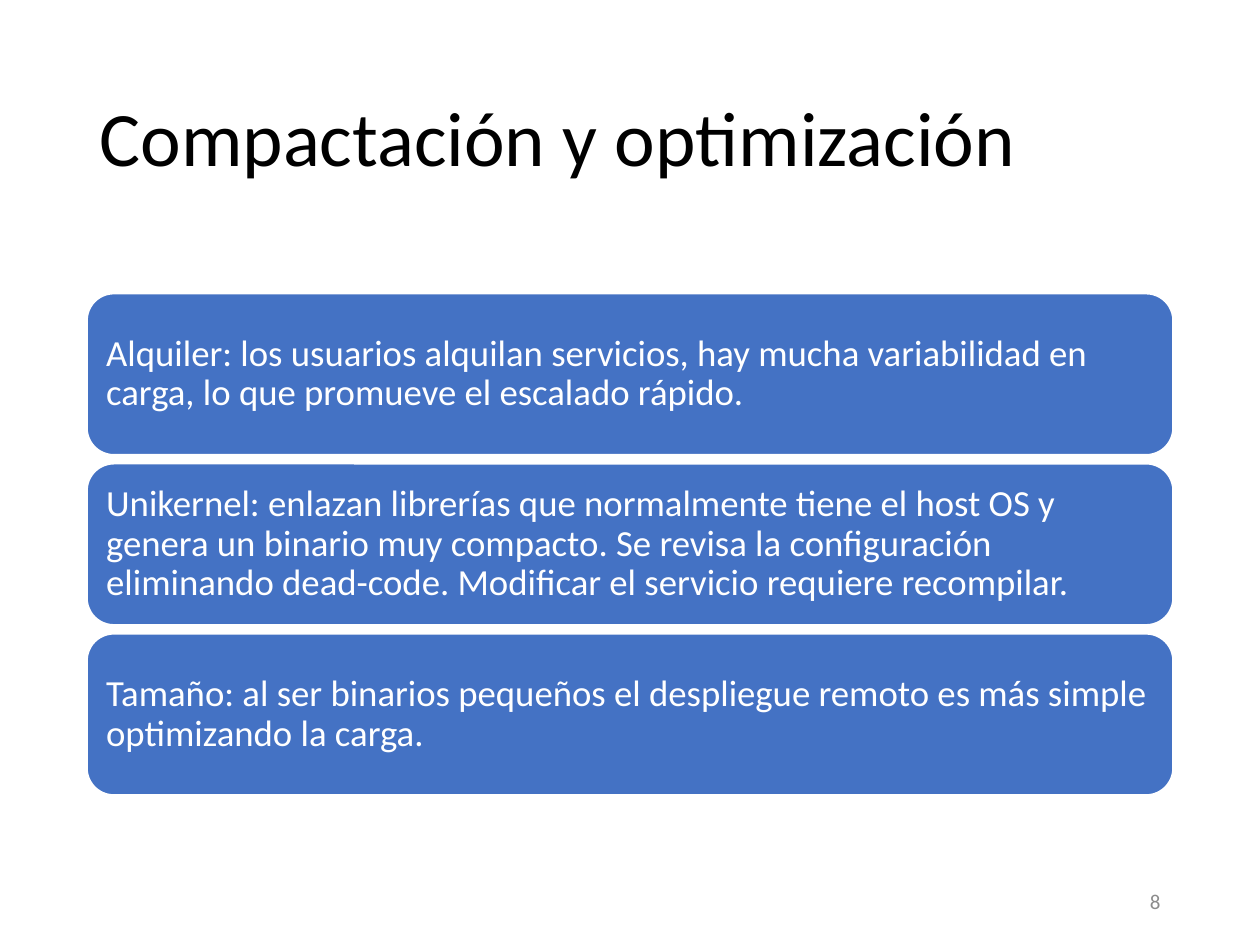
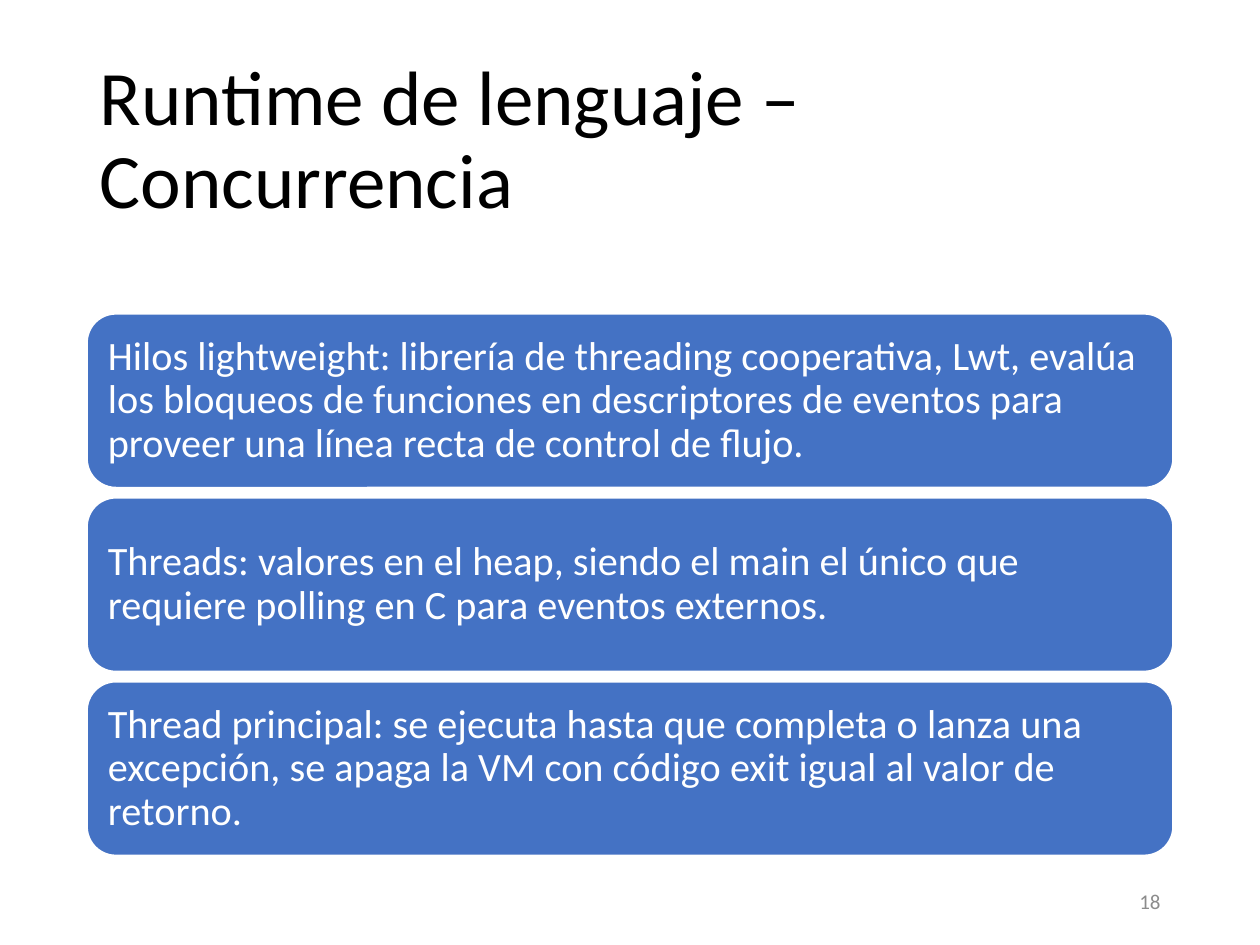
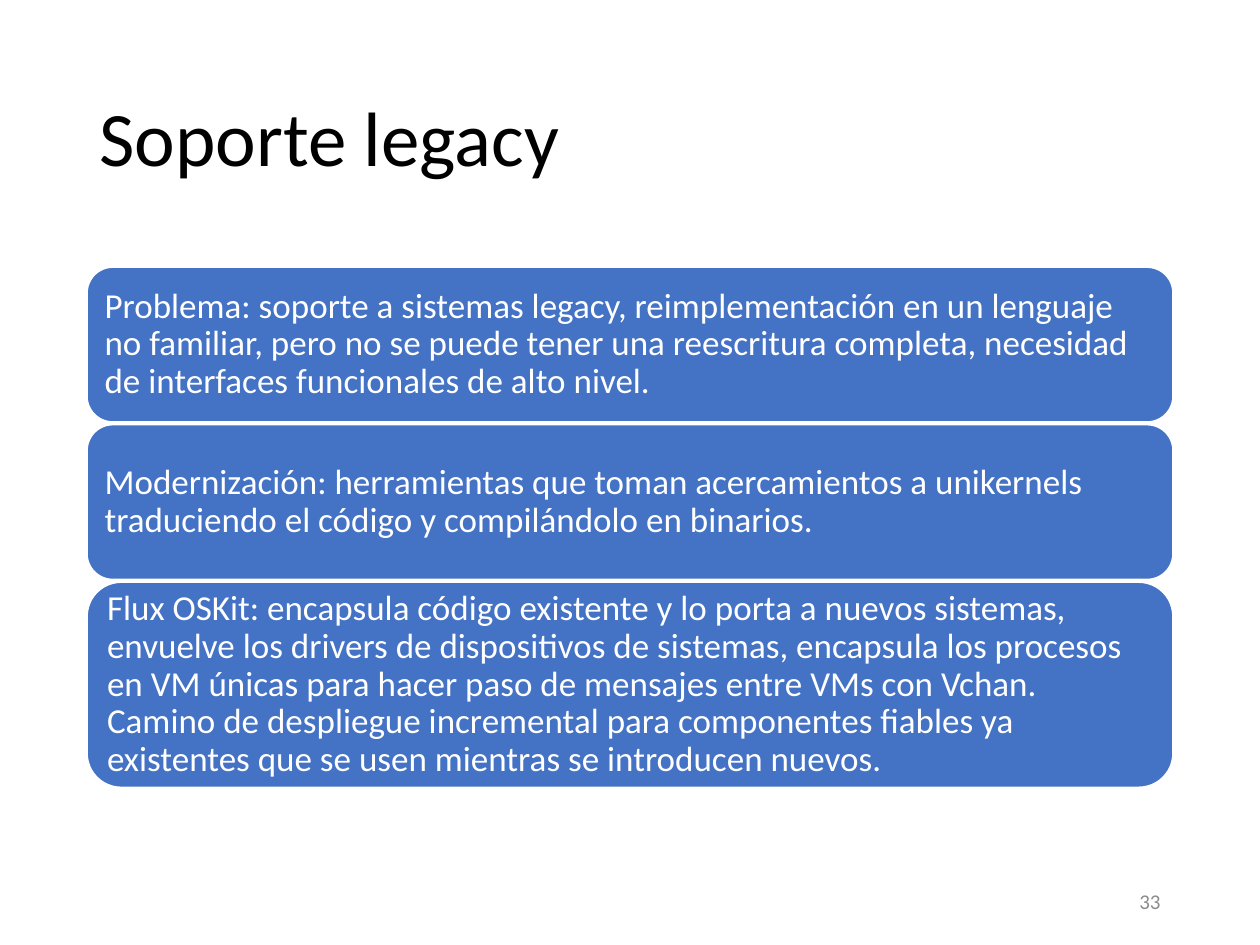
from pptx import Presentation
from pptx import util as u
from pptx.dml.color import RGBColor
from pptx.enum import shapes, text

# Shared style
COLORS = {"ink": "000000", "card": "4472C4", "paper": "FFFFFF", "page": "8C8C8C"}
FACE = "Calibri"
LEFT, WIDTH = 0.69, 8.62

# Each card is (height, text)
SLIDES = [
    {
        "title": "Compactación y optimización",
        "page": "8", "top": 2.33, "gap": 0.07, "size": 21, "inset": 0.09,
        "cards": [
            (1.28, "Alquiler: los usuarios alquilan servicios, hay mucha variabilidad en "
                   "carga, lo que promueve el escalado rápido."),
            (1.28, "Unikernel: enlazan librerías que normalmente tiene el host OS y genera "
                   "un binario muy compacto. Se revisa la configuración eliminando "
                   "dead-code. Modificar el servicio requiere recompilar."),
            (1.28, "Tamaño: al ser binarios pequeños el despliegue remoto es más simple "
                   "optimizando la carga."),
        ],
    },
    {
        "title": "Runtime de lenguaje – Concurrencia",
        "page": "18", "top": 2.49, "gap": 0.08, "size": 23, "inset": 0.1,
        "cards": [
            (1.38, "Hilos lightweight: librería de threading cooperativa, Lwt, evalúa los "
                   "bloqueos de funciones en descriptores de eventos para proveer una "
                   "línea recta de control de flujo."),
            (1.38, "Threads: valores en el heap, siendo el main el único que requiere "
                   "polling en C para eventos externos."),
            (1.38, "Thread principal: se ejecuta hasta que completa o lanza una excepción, "
                   "se apaga la VM con código exit igual al valor de retorno."),
        ],
    },
    {
        "title": "Soporte legacy",
        "page": "33", "top": 2.12, "gap": 0.02, "size": 20, "inset": 0.08,
        "cards": [
            (1.23, "Problema: soporte a sistemas legacy, reimplementación en un lenguaje no "
                   "familiar, pero no se puede tener una reescritura completa, necesidad "
                   "de interfaces funcionales de alto nivel."),
            (1.23, "Modernización: herramientas que toman acercamientos a unikernels "
                   "traduciendo el código y compilándolo en binarios."),
            (1.63, "Flux OSKit: encapsula código existente y lo porta a nuevos sistemas, "
                   "envuelve los drivers de dispositivos de sistemas, encapsula los "
                   "procesos en VM únicas para hacer paso de mensajes entre VMs con Vchan. "
                   "Camino de despliegue incremental para componentes fiables ya "
                   "existentes que se usen mientras se introducen nuevos."),
        ],
    },
]


def tint(name):
    return RGBColor.from_string(COLORS[name])


def apply(item, values):
    for key, value in values.items():
        setattr(item, key, value)


def write(shape, words, size, color, align=text.PP_ALIGN.LEFT, space=0.9, insets=(0.1, 0.05)):
    frame = shape.text_frame
    frame.text = words
    side, edge = map(u.Inches, insets)
    apply(frame, {
        "word_wrap": True, "auto_size": text.MSO_AUTO_SIZE.NONE,
        "vertical_anchor": text.MSO_ANCHOR.MIDDLE,
        "margin_left": side, "margin_right": side,
        "margin_top": edge, "margin_bottom": edge,
    })
    line = frame.paragraphs[0]
    apply(line, {"alignment": align, "line_spacing": space})
    font = line.runs[0].font
    apply(font, {"name": FACE, "size": u.Pt(size)})
    font.color.rgb = tint(color)


def add_title(slide, words):
    title = slide.shapes.title
    apply(title, {"left": u.Inches(LEFT), "top": u.Inches(0.4),
                  "width": u.Inches(WIDTH), "height": u.Inches(1.45)})
    write(title, words, 44, "ink")


def add_card(slide, top, height, words, size, inset):
    card = slide.shapes.add_shape(
        shapes.MSO_SHAPE.ROUNDED_RECTANGLE,
        u.Inches(LEFT), u.Inches(top), u.Inches(WIDTH), u.Inches(height))
    card.shadow.inherit = False
    card.fill.solid()
    card.fill.fore_color.rgb = tint("card")
    card.line.color.rgb = tint("paper")
    card.line.width = u.Pt(1)
    write(card, words, size, "paper", insets=(inset, inset))


def add_page(slide, number):
    box = slide.shapes.add_textbox(
        u.Inches(7.06), u.Inches(6.95), u.Inches(2.25), u.Inches(0.4))
    write(box, number, 12, "page", text.PP_ALIGN.RIGHT, 1.0)


def main():
    deck = Presentation()
    apply(deck, {"slide_width": u.Inches(10), "slide_height": u.Inches(7.5)})
    for data in SLIDES:
        slide = deck.slides.add_slide(deck.slide_layouts[5])
        add_title(slide, data["title"])
        # Stack the cards downwards with an equal gap
        top = data["top"]
        for height, words in data["cards"]:
            add_card(slide, top, height, words, data["size"], data["inset"])
            top += height + data["gap"]
        add_page(slide, data["page"])
    deck.save("out.pptx")


if __name__ == "__main__":
    main()
